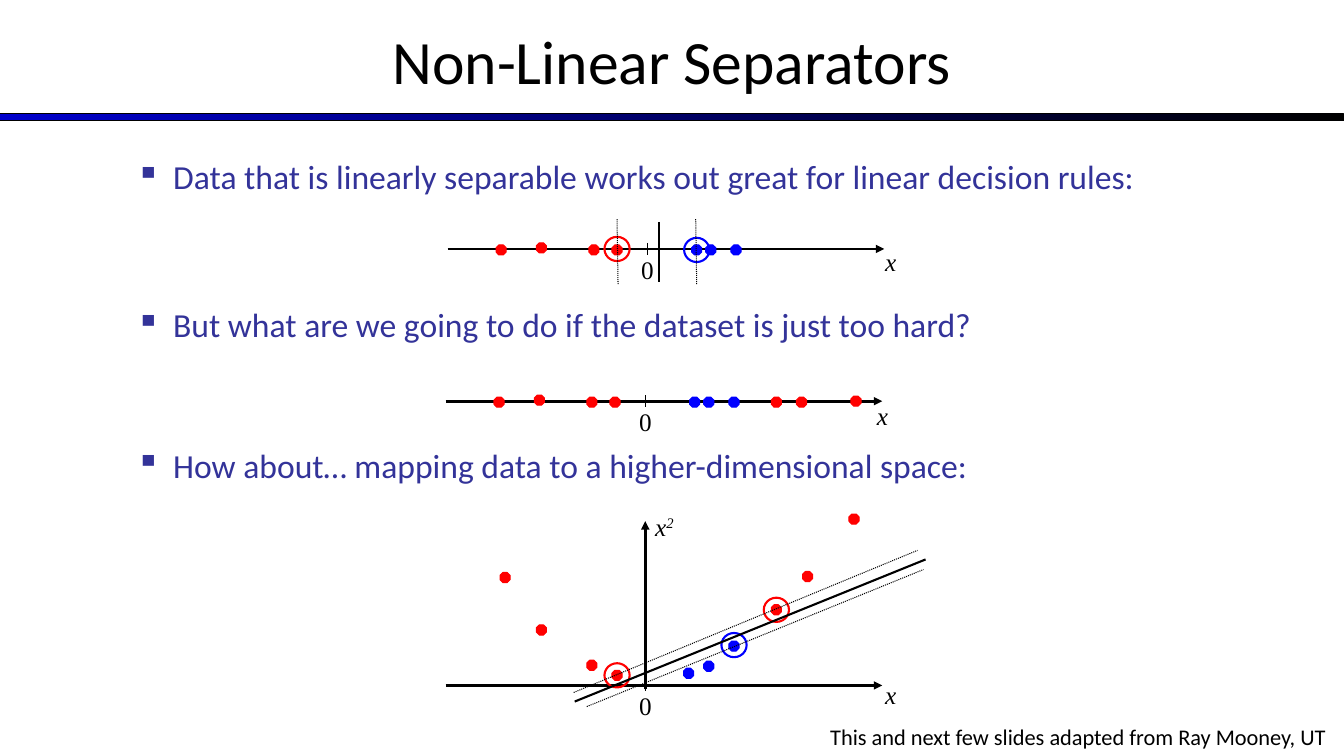
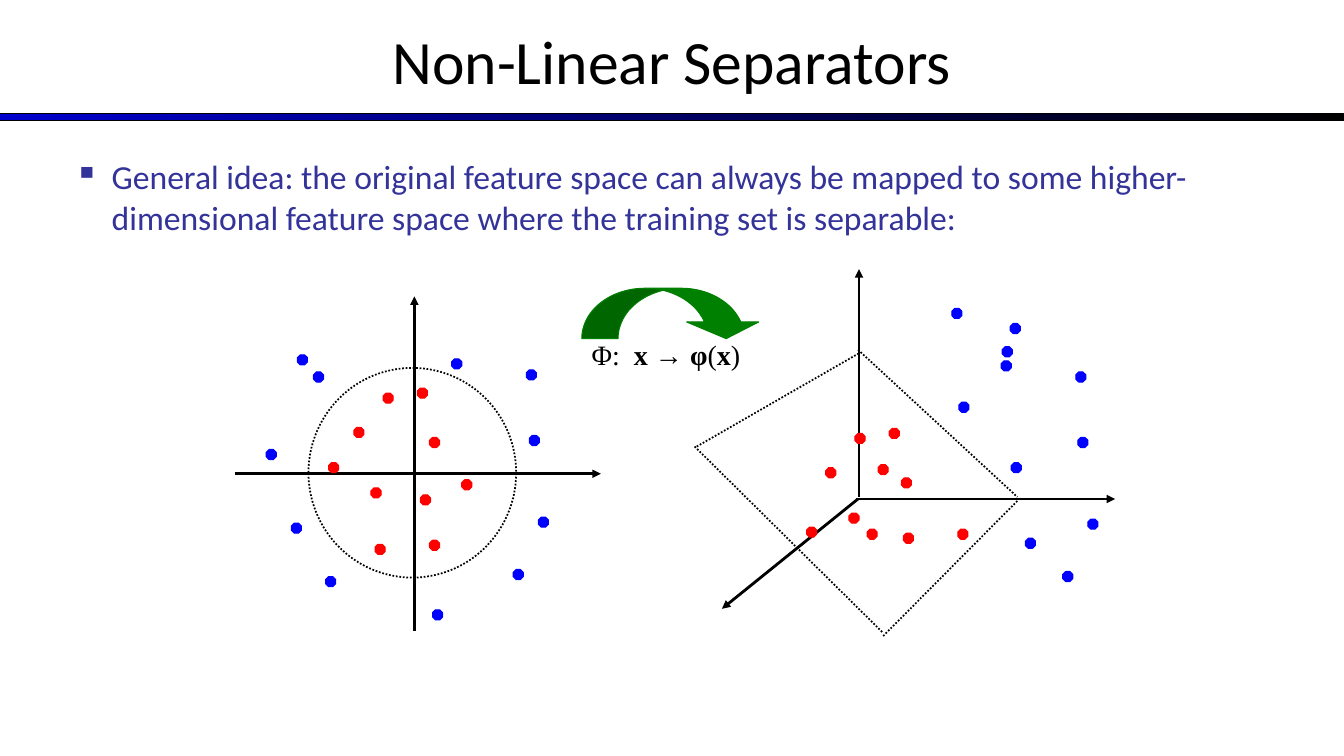
from pptx import Presentation
from pptx import util as u
from pptx.dml.color import RGBColor
from pptx.enum import dml, shapes, text
from pptx.oxml import ns, xmlchemy

PX = 9144
TITLE_ONLY = 5
COLORS = {
    "black": "000000",
    "band": "0000CC",
    "body": "333399",
    "red": "FF0000",
    "blue": "0000FF",
    "green": "008000",
}
SANS, SERIF = "Calibri", "Times New Roman"
TITLE = "Non-Linear Separators"
DOT, RING = (10, 10), (25, 24)

STEPS_BOX = (125, 150, 1167, 475)
STEPS = [
    ("Data that is linearly separable works out great for linear decision rules:", 0),
    ("But what are we going to do if the dataset is just too hard?", 77),
    ("How about… mapping data to a higher-dimensional space:", 71.5),
]
IDEA_BOX = (64, 150, 1244, 517)
IDEA = [
    ("General idea: the original feature space can always be mapped to some "
     "higher-dimensional feature space where the training set is separable:", 0),
]
CREDIT = "This and next few slides adapted from Ray Mooney, UT"

NEAR_RED = [(-145, 1), (-105, -1), (-53, 1), (-30, 1)]
FAR_RED = [(130, 1), (155, 1), (209, 0)]
MIDDLE_BLUE = [(49, 1), (63, 1), (88, 1)]
NUMBER_LINES = [
    {
        "zero": (642, 247),
        "name": (226, -8),
        "red": NEAR_RED,
        "blue": MIDDLE_BLUE,
        "red rings": [(-30, 0)],
        "blue rings": [(49, 1)],
        "separators": [(12, -27, 12, 33)],
        "margins": [(49, 35, 48, -30), (-29, 35, -30, -30)],
    },
    {
        "zero": (640, 398),
        "name": (220, -6),
        "red": NEAR_RED + FAR_RED,
        "blue": MIDDLE_BLUE,
    },
    {
        "zero": (640, 680),
        "name": (228, -11),
        "red": [(-139, -107), (-103, -55), (-53, -20), (-28, -10),
                (130, -75), (161, -108), (207, -165)],
        "blue": [(43, -12), (63, -19), (88, -39)],
        "red rings": [(130, -75), (-28, -10)],
        "blue rings": [(88, -40)],
        "separators": [(-70, 16, 278, -125)],
        "margins": [(-71, 7, 270, -134), (-58, 21, 276, -115)],
        "upright": (0, 4, 0, -163),
    },
]

SPACES = [
    {
        "axes": [(411, 626, 411, 294), (233, 470, 596, 470)],
        "red": [(419, 390), (356, 429), (373, 489), (431, 541), (385, 395),
                (331, 464), (377, 545), (431, 439), (463, 481), (422, 496)],
        "blue": [(530, 437), (514, 570), (269, 451), (434, 610), (539, 518), (328, 577),
                 (294, 524), (300, 357), (453, 361), (316, 374), (527, 372)],
        "boundary": [],
    },
    {
        "axes": [(852, 493, 852, 267), (849, 495, 1106, 495), (851, 495, 716, 604)],
        "red": [(887, 430), (824, 469), (865, 530), (955, 530), (853, 435),
                (876, 466), (901, 534), (899, 479), (847, 514), (805, 528)],
        "blue": [(1074, 439), (1059, 572), (1007, 326), (1008, 464), (1084, 520), (956, 404),
                 (1022, 539), (999, 349), (998, 363), (949, 311), (1072, 374)],
        "boundary": [(851, 347, 1009, 493), (876, 631, 1009, 497),
                     (691, 443, 851, 351), (689, 443, 876, 628)],
    },
]
CIRCLE = (306, 365, 206, 208)
MAPPING_ARROW = (577, 286, 179, 50)
MAPPING = [
    ("Φ:", {}),
    (" ", {"spc": 500}),
    ("x → φ", {"b": 1}),
    ("(", {}),
    ("x", {"b": 1}),
    (")", {}),
]


def px(*lengths):
    return [u.Emu(round(length * PX)) for length in lengths]


def rgb(name):
    return RGBColor.from_string(COLORS[name])


def child(parent, tag, **attributes):
    node = xmlchemy.OxmlElement(tag)
    for key, value in attributes.items():
        node.set(key, value)
    parent.append(node)


def format_span(span, size, face=SANS, color="black"):
    span.font.size = u.Pt(size)
    span.font.name = face
    span.font.color.rgb = rgb(color)


def set_line(item, color, width, dotted=False):
    item.line.color.rgb = rgb(color)
    item.line.width = u.Pt(width)
    if dotted:
        item.line.dash_style = dml.MSO_LINE.ROUND_DOT


def add_shape(page, kind, place, fill=None, line="black", width=0.75, dotted=False):
    shape = page.shapes.add_shape(kind, *px(*place))
    shape.shadow.inherit = False
    if fill:
        shape.fill.solid()
        shape.fill.fore_color.rgb = rgb(fill)
    else:
        shape.fill.background()
    set_line(shape, line, width, dotted)
    return shape


def add_line(page, ends, width=0.75, dotted=False, arrow=False):
    line = page.shapes.add_connector(shapes.MSO_CONNECTOR.STRAIGHT, *px(*ends))
    set_line(line, "black", width, dotted)
    properties = line.element.spPr
    if arrow:
        child(properties.find(ns.qn("a:ln")), "a:tailEnd", type="triangle")
    child(properties, "a:effectLst")


def add_box(page, place):
    box = page.shapes.add_textbox(*px(*place))
    box.text_frame.word_wrap = True
    return box


def add_label(page, place, spans, size=18, face=SERIF):
    para = add_box(page, place).text_frame.paragraphs[0]
    for words, attributes in spans:
        span = para.add_run()
        span.text = words
        format_span(span, size, face)
        for key, value in attributes.items():
            span._r.get_or_add_rPr().set(key, str(value))
    return para


def add_bullets(page, place, items):
    frame = add_box(page, place).text_frame
    frame.text = "\n".join(words for words, gap in items)
    for para, (words, gap) in zip(frame.paragraphs, items):
        para.space_before = u.Pt(gap)
        format_span(para.runs[0], 24, color="body")
        properties = para._p.get_or_add_pPr()
        indent = px(37)[0]
        properties.set("marL", str(indent))
        properties.set("indent", str(-indent))
        child(properties, "a:buChar", char="▪")


def add_dots(page, points, color):
    for x, y in points:
        place = (x - DOT[0] / 2, y - DOT[1] / 2, *DOT)
        dot = add_shape(page, shapes.MSO_SHAPE.OCTAGON, place, color, color)
        dot.adjustments[0] = 0.29


def add_rings(page, points, color):
    for x, y in points:
        place = (x - RING[0] / 2, y - RING[1] / 2, *RING)
        add_shape(page, shapes.MSO_SHAPE.OVAL, place, line=color, width=1.5)


def add_band(page, layout):
    band = add_shape(page, shapes.MSO_SHAPE.RECTANGLE, (0, 113, 1333, 7))
    band.fill.gradient()
    band.fill.gradient_angle = 0
    for stop, color, position in zip(band.fill.gradient_stops, ("band", "black"), (0, 1)):
        stop.color.rgb = rgb(color)
        stop.position = position
    layout.shapes.element.append(band.element)


def add_page(deck):
    page = deck.slides.add_slide(deck.slide_layouts[TITLE_ONLY])
    title = page.shapes.title
    title.left, title.top, title.width, title.height = px(0, -3, 1333, 125)
    title.text_frame.text = TITLE
    title.text_frame.vertical_anchor = text.MSO_ANCHOR.MIDDLE
    para = title.text_frame.paragraphs[0]
    para.alignment = text.PP_ALIGN.CENTER
    format_span(para.runs[0], 44)
    return page


def add_number_line(page, plot):
    left, top = plot["zero"]

    def shift(points):
        return [(left + x, top + y) for x, y in points]

    def shift_line(ends):
        return (left + ends[0], top + ends[1], left + ends[2], top + ends[3])

    add_line(page, shift_line((-198, 0, 235, 0)), 2, arrow=True)
    add_line(page, shift_line((0, -6, 0, 6)))
    add_label(page, (left - 16, top, 38, 40), [("0", {})])
    add_label(page, (*shift([plot["name"]])[0], 50, 40), [("x", {"i": 1})])
    if "upright" in plot:
        add_line(page, shift_line(plot["upright"]), 2, arrow=True)
        add_label(page, (left, top - 178, 50, 40),
                  [("x", {"i": 1}), ("2", {"i": 1, "baseline": 30000})])
    for color in ("red", "blue"):
        add_dots(page, shift(plot[color]), color)
        add_rings(page, shift(plot.get(color + " rings", [])), color)
    for ends in plot.get("separators", []):
        add_line(page, shift_line(ends), 1.5)
    for ends in plot.get("margins", []):
        add_line(page, shift_line(ends), dotted=True)


def add_space(page, space):
    for ends in space["axes"]:
        add_line(page, ends, 2, arrow=True)
    for color in ("red", "blue"):
        add_dots(page, space[color], color)
    for ends in space["boundary"]:
        add_line(page, ends, 1.25, dotted=True)


def build_lines_page(page):
    add_bullets(page, STEPS_BOX, STEPS)
    for plot in NUMBER_LINES:
        add_number_line(page, plot)
    credit = add_label(page, (750, 713, 575, 37), [(CREDIT, {})], 16, SANS)
    credit.alignment = text.PP_ALIGN.RIGHT


def build_mapping_page(page):
    add_bullets(page, IDEA_BOX, IDEA)
    for space in SPACES:
        add_space(page, space)
    add_shape(page, shapes.MSO_SHAPE.OVAL, CIRCLE, width=1.25, dotted=True)
    arrow = add_shape(page, shapes.MSO_SHAPE.CURVED_DOWN_ARROW, MAPPING_ARROW, "green", "green")
    for index, value in enumerate((0.72, 1.43, 0.33)):
        arrow.adjustments[index] = value
    add_label(page, (577, 330, 184, 43), MAPPING, 20)


def main():
    deck = Presentation()
    deck.slide_width, deck.slide_height = u.Inches(13.33), u.Inches(7.5)
    pages = [add_page(deck) for build in (build_lines_page, build_mapping_page)]
    add_band(pages[0], deck.slide_layouts[TITLE_ONLY])
    build_lines_page(pages[0])
    build_mapping_page(pages[1])
    deck.save("out.pptx")


if __name__ == "__main__":
    main()
